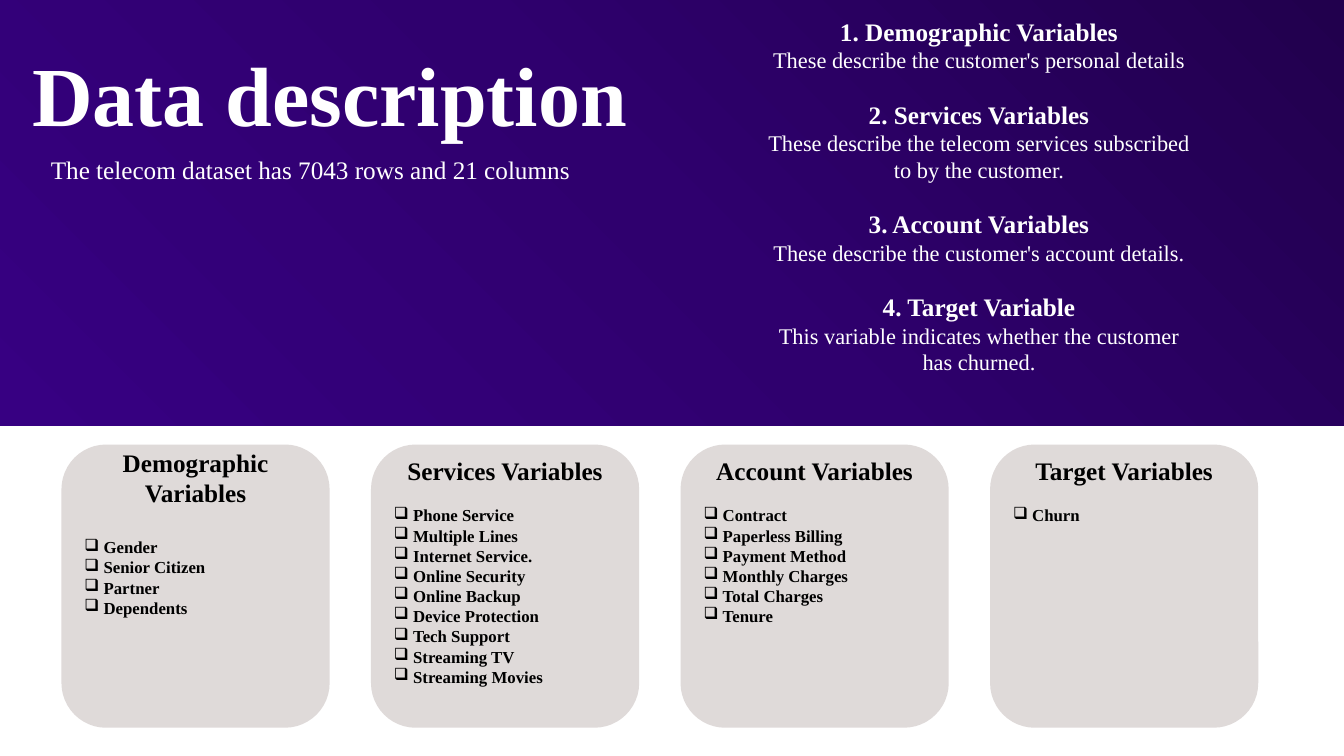
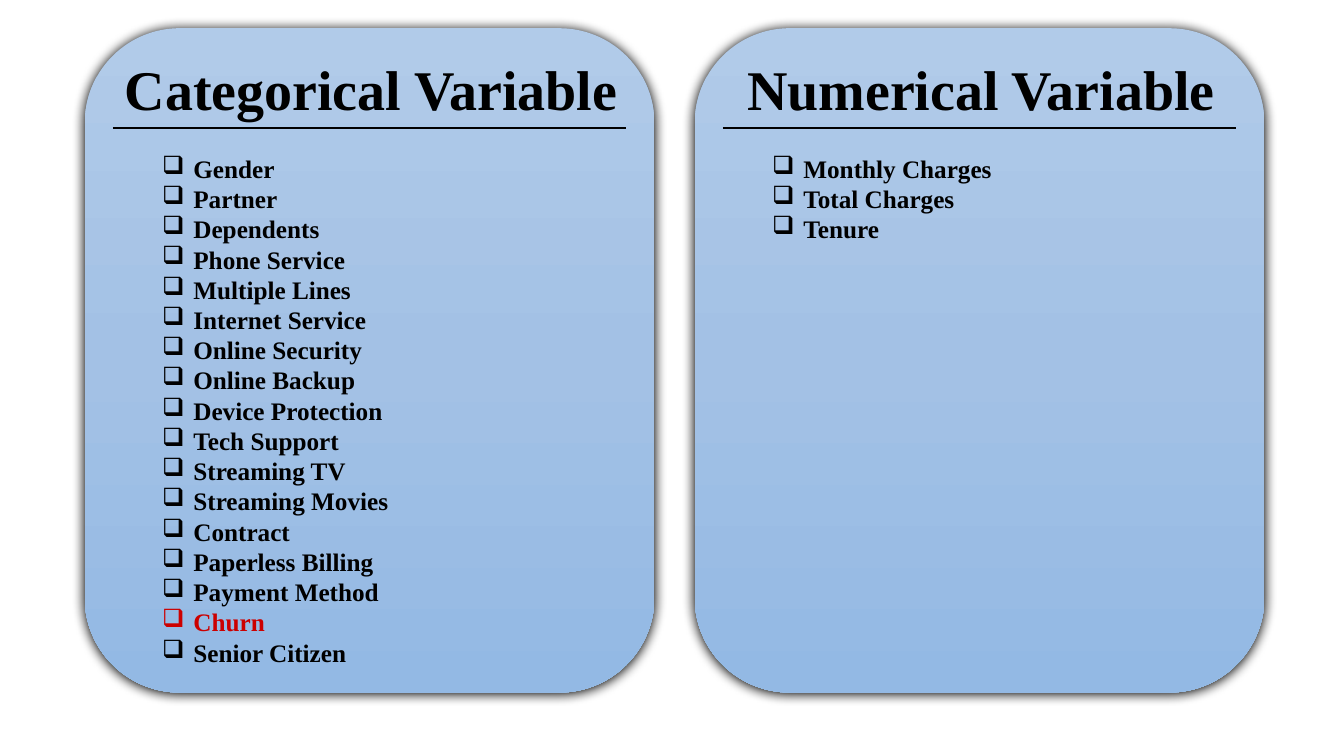
from lxml import etree
from pptx import Presentation
from pptx.dml.color import RGBColor
from pptx.enum.shapes import MSO_CONNECTOR, MSO_SHAPE
from pptx.enum.text import MSO_ANCHOR, PP_ALIGN
from pptx.oxml.ns import qn
from pptx.util import Inches, Pt

FONT = "Times New Roman"
WHITE, BLACK, RED = "FFFFFF", "000000", "CC0000"
CARD_GREY = "DFDAD9"
BAND_PURPLE = [(0, "21004D"), (50, "2F006E"), (100, "370082")]
PANEL_BLUE = [(0, "B1CBE9"), (50, "A3C1E5"), (100, "93B9E4")]
BULLET = "❑"

HEADLINE = "Data description"
SUMMARY = "The telecom dataset has 7043 rows and 21 columns"
GROUPS = [
    ("1. Demographic Variables", "These describe the customer's personal details"),
    ("2. Services Variables",
     "These describe the telecom services subscribed to by the customer."),
    ("3. Account Variables", "These describe the customer's account details."),
    ("4. Target Variable", "This variable indicates whether the customer has churned."),
]
# title, space after it in points, top inset in inches, variables
CARDS = [
    ("Demographic Variables", 20.7, -0.1,
     ["Gender", "Senior Citizen", "Partner", "Dependents"]),
    ("Services Variables", 13.8, -0.02,
     ["Phone Service", "Multiple Lines", "Internet Service.", "Online Security",
      "Online Backup", "Device Protection", "Tech Support", "Streaming TV",
      "Streaming Movies"]),
    ("Account Variables", 13.8, -0.02,
     ["Contract", "Paperless Billing", "Payment Method", "Monthly Charges",
      "Total Charges", "Tenure"]),
    ("Target Variables", 13.8, -0.02, ["Churn"]),
]
PANELS = [
    ("Categorical Variable",
     ["Gender", "Partner", "Dependents", "Phone Service", "Multiple Lines",
      "Internet Service", "Online Security", "Online Backup", "Device Protection",
      "Tech Support", "Streaming TV", "Streaming Movies", "Contract",
      "Paperless Billing", "Payment Method", "Churn", "Senior Citizen"]),
    ("Numerical Variable", ["Monthly Charges", "Total Charges", "Tenure"]),
]
TARGET = "Churn"


def rgb(color):
    return RGBColor.from_string(color)


def add_block(slide, preset, left, top, width, height, color):
    """Add a borderless shape; color is a hex string or None for a later fill."""
    block = slide.shapes.add_shape(
        preset, Inches(left), Inches(top), Inches(width), Inches(height))
    block.shadow.inherit = False
    block.line.fill.background()
    if color:
        block.fill.solid()
        block.fill.fore_color.rgb = rgb(color)
    return block


def fill_gradient(block, stops, clockwise_angle):
    block.fill.gradient()
    block.fill.gradient_angle = 360 - clockwise_angle
    stop_list = block._element.spPr.find(qn("a:gradFill")).find(qn("a:gsLst"))
    for old_stop in list(stop_list):
        stop_list.remove(old_stop)
    for percent, color in stops:
        stop = etree.SubElement(stop_list, qn("a:gs"), pos=str(percent * 1000))
        etree.SubElement(stop, qn("a:srgbClr"), val=color)


def add_soft_shadow(block):
    effects = block._element.spPr.find(qn("a:effectLst"))
    shadow = etree.SubElement(
        effects, qn("a:outerShdw"), blurRad=str(Pt(8.5)), dist=str(Pt(1)),
        dir=str(90 * 60000), algn="ctr", rotWithShape="0")
    etree.SubElement(shadow, qn("a:srgbClr"), val=BLACK)


def add_textbox(slide, left, top, width, height):
    frame = slide.shapes.add_textbox(
        Inches(left), Inches(top), Inches(width), Inches(height)).text_frame
    frame.word_wrap = True
    return frame


def write(frame, text, size, color, bold=False, align=PP_ALIGN.LEFT,
          indent=0, hanging=0, bullet=False):
    """Fill the frame's first empty paragraph, or append one, and return it."""
    last = frame.paragraphs[-1]
    paragraph = frame.add_paragraph() if last.runs else last
    paragraph.alignment = align
    properties = paragraph._p.get_or_add_pPr()
    properties.set("marL", str(Inches(indent)))
    properties.set("indent", str(-Inches(hanging)))
    if bullet:
        etree.SubElement(properties, qn("a:buChar"), char=BULLET)
    run = paragraph.add_run()
    run.text = text
    run.font.name = FONT
    run.font.size = Pt(size)
    run.font.bold = bold
    run.font.color.rgb = rgb(color)
    return paragraph


def build_description(slide):
    band = add_block(slide, MSO_SHAPE.RECTANGLE, 0, 0, 13.33, 4.22, None)
    fill_gradient(band, BAND_PURPLE, 135)
    write(add_textbox(slide, 0.22, 0.37, 6.66, 1.11), HEADLINE, 60, WHITE, True)
    write(add_textbox(slide, 0.33, 1.48, 5.5, 0.71), SUMMARY, 18, WHITE,
          align=PP_ALIGN.CENTER)

    groups = add_textbox(slide, 6.99, 0.11, 4.93, 4.04)
    for number, (name, meaning) in enumerate(GROUPS):
        heading = write(groups, name, 18, WHITE, True, PP_ALIGN.CENTER, 0.51)
        if number:
            heading.space_before = Pt(18.4)
        write(groups, meaning, 16, WHITE, False, PP_ALIGN.CENTER, 0.51)

    for column, (title, gap, inset, variables) in enumerate(CARDS):
        card = add_block(slide, MSO_SHAPE.ROUNDED_RECTANGLE,
                         0.61 + 3.07 * column, 4.41, 2.66, 2.81, CARD_GREY)
        frame = card.text_frame
        frame.word_wrap = True
        frame.vertical_anchor = MSO_ANCHOR.TOP
        frame.margin_top = Inches(inset)
        heading = write(frame, title, 18, BLACK, True, PP_ALIGN.CENTER)
        heading.space_after = Pt(gap)
        for variable in variables:
            write(frame, variable, 12, BLACK, True, indent=0.19, hanging=0.19,
                  bullet=True)


def build_variable_types(slide):
    for column, (title, variables) in enumerate(PANELS):
        left = 0.84 + 6.05 * column
        panel = add_block(slide, MSO_SHAPE.ROUNDED_RECTANGLE,
                          left, 0.28, 5.65, 6.59, None)
        fill_gradient(panel, PANEL_BLUE, 90)
        add_soft_shadow(panel)
        write(add_textbox(slide, left + 0.1, 0.49, 5.48, 0.77), title, 40, BLACK,
              True, PP_ALIGN.CENTER)
        listing = add_textbox(slide, left + 0.17, 1.47, 4.95, 0.1 + 0.3 * len(variables))
        for variable in variables:
            write(listing, variable, 18, RED if variable == TARGET else BLACK, True,
                  indent=0.81, hanging=0.31, bullet=True)
        rule = slide.shapes.add_connector(
            MSO_CONNECTOR.STRAIGHT, Inches(left + 0.28), Inches(1.27),
            Inches(left + 5.37), Inches(1.27))
        rule.line.color.rgb = rgb(BLACK)
        rule.line.width = Pt(1.5)
        etree.SubElement(rule._element.spPr, qn("a:effectLst"))


def main():
    deck = Presentation()
    deck.slide_width, deck.slide_height = Inches(13.33), Inches(7.5)
    for build in (build_description, build_variable_types):
        build(deck.slides.add_slide(deck.slide_layouts[6]))
    deck.save("out.pptx")


if __name__ == "__main__":
    main()
